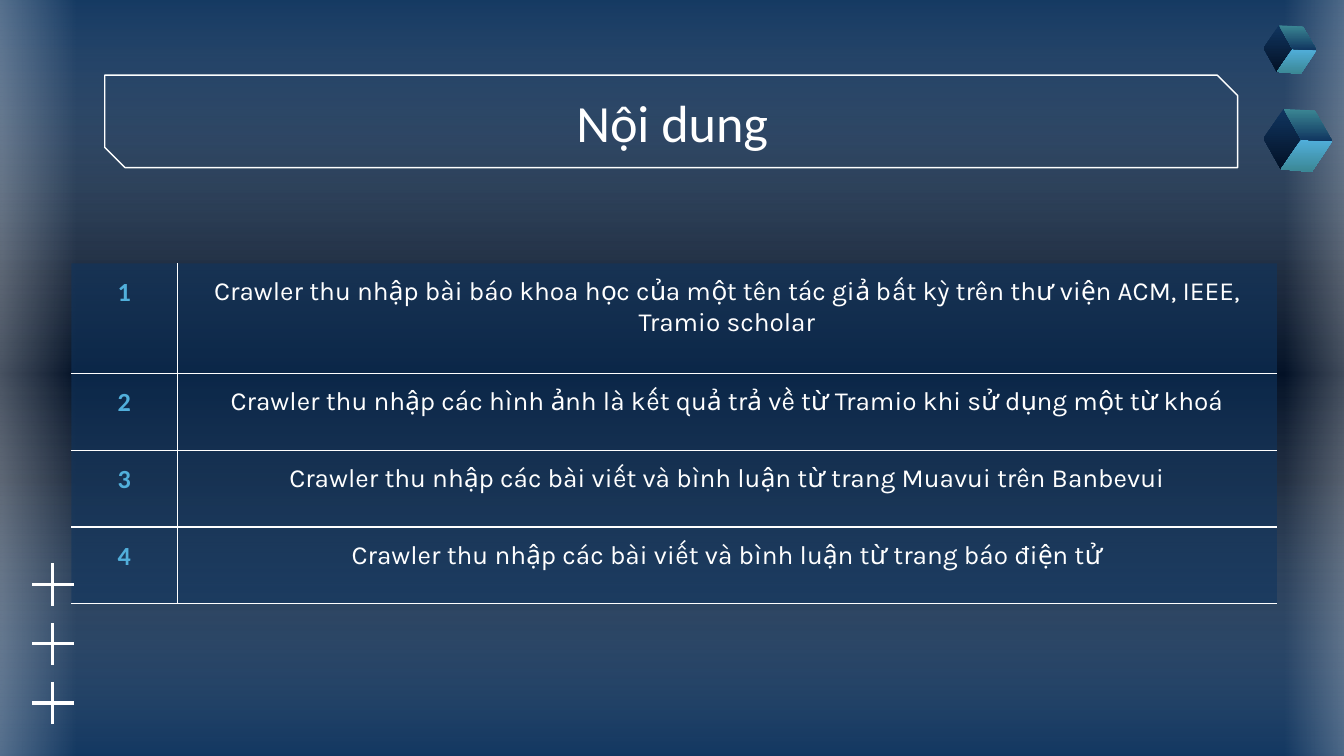
from lxml import etree
from pptx import Presentation
from pptx import util as u
from pptx.dml.color import RGBColor
from pptx.enum import shapes, text
from pptx.oxml import ns

COLOURS = {"white": "FFFFFF", "navy": "10355F", "night": "031126",
           "sky": "51AFDB", "teal": "3B8794"}
FORMATS = {
    "title": {"name": "Calibri", "size": u.Pt(28), "bold": False},
    "number": {"name": "Calibri", "size": u.Pt(14), "bold": True},
    "topic": {"name": "Karla", "size": u.Pt(14), "bold": False},
}
TOPICS = [
    "Crawler thu nhập bài báo khoa học của một tên tác giả bất kỳ trên thư viện ACM, IEEE, Tramio scholar",
    "Crawler thu nhập các hình ảnh là kết quả trả về từ Tramio khi sử dụng một từ khoá",
    "Crawler thu nhập các bài viết và bình luận từ trang Muavui trên Banbevui",
    "Crawler thu nhập các bài viết và bình luận từ trang báo điện tử",
]
COLUMN_WIDTHS = [2.0, 20.78]
ROW_HEIGHTS = [2.08, 1.45, 1.45, 1.45]
CUBE_FACES = [
    ([(0.38, 0), (0, 0.56), (0.33, 1.14), (0.71, 0.58)], "navy", "night"),
    ([(0.71, 0.58), (1.3, 0.61), (0.91, 1.19), (0.33, 1.14)], "sky", "teal"),
    ([(0.38, 0), (0.97, 0.03), (1.3, 0.61), (0.71, 0.58)], "teal", "navy"),
]


class SlideBuilder:
    """Hold the style and the current slide, and draw each kind of element."""

    def __init__(self, slide):
        self.slide = slide

    def colour(self, name):
        return RGBColor.from_string(COLOURS[name])

    def gradient(self, fill, element, stops, angle):
        fill.solid()
        solid = element.find(".//" + ns.qn("a:solidFill"))
        gradient = etree.Element(ns.qn("a:gradFill"), rotWithShape="1")
        stop_list = etree.SubElement(gradient, ns.qn("a:gsLst"))
        for position, name, opacity in stops:
            stop = etree.SubElement(stop_list, ns.qn("a:gs"), pos=str(position * 1000))
            colour = etree.SubElement(stop, ns.qn("a:srgbClr"), val=COLOURS[name])
            if opacity < 100:
                etree.SubElement(colour, ns.qn("a:alpha"), val=str(opacity * 1000))
        etree.SubElement(gradient, ns.qn("a:lin"), ang=str(angle * 60000), scaled="0")
        solid.getparent().replace(solid, gradient)

    def background(self, stops):
        self.gradient(self.slide.background.fill, self.slide.element, stops, 90)

    def glow(self, box, stops, rotation=0):
        shape = self.slide.shapes.add_shape(
            shapes.MSO_SHAPE.RECTANGLE, *map(u.Cm, box))
        shape.rotation = rotation
        shape.shadow.inherit = False
        shape.line.fill.background()
        self.gradient(shape.fill, shape.element, stops, 180)

    def frame(self, box):
        shape = self.slide.shapes.add_shape(
            shapes.MSO_SHAPE.SNIP_2_DIAG_RECTANGLE, *map(u.Cm, box))
        shape.adjustments[0], shape.adjustments[1] = 0, 0.22
        shape.shadow.inherit = False
        shape.fill.background()
        shape.line.color.rgb = self.colour("white")
        shape.line.width = u.Pt(0.75)

    def label(self, holder, words, style, colour):
        for side in ("left", "right", "top", "bottom"):
            setattr(holder, "margin_" + side, u.Cm(0.25))
        paragraph = getattr(holder, "text_frame", holder).paragraphs[0]
        paragraph.alignment = text.PP_ALIGN.CENTER
        run = paragraph.add_run()
        run.text = words
        for attribute, value in FORMATS[style].items():
            setattr(run.font, attribute, value)
        run.font.color.rgb = self.colour(colour)
        return paragraph

    def title(self, box, words):
        text_frame = self.slide.shapes.add_textbox(*map(u.Cm, box)).text_frame
        text_frame.word_wrap = True
        text_frame.vertical_anchor = text.MSO_ANCHOR.MIDDLE
        self.label(text_frame, words, "title", "white")

    def style_cell(self, cell, visible):
        cell.fill.solid()
        cell.fill.fore_color.rgb = self.colour("navy")
        properties = cell._tc.get_or_add_tcPr()
        colour = properties.find(".//" + ns.qn("a:srgbClr"))
        etree.SubElement(colour, ns.qn("a:alpha"), val="59000")
        for index, side in enumerate("LRTB"):
            border = etree.Element(ns.qn("a:ln" + side), w=str(u.Pt(0.75)))
            if side in visible:
                fill = etree.SubElement(border, ns.qn("a:solidFill"))
                etree.SubElement(fill, ns.qn("a:srgbClr"), val=COLOURS["white"])
            else:
                etree.SubElement(border, ns.qn("a:noFill"))
            properties.insert(index, border)

    def table(self, left, top, topics):
        table = self.slide.shapes.add_table(
            len(topics), 2, u.Cm(left), u.Cm(top),
            u.Cm(sum(COLUMN_WIDTHS)), u.Cm(sum(ROW_HEIGHTS))).table
        table.first_row = table.horz_banding = False
        for column, width in zip(table.columns, COLUMN_WIDTHS):
            column.width = u.Cm(width)
        for index, (topic, height) in enumerate(zip(topics, ROW_HEIGHTS)):
            table.rows[index].height = u.Cm(height)
            number_cell, topic_cell = table.rows[index].cells
            self.label(number_cell, str(index + 1), "number", "sky")
            self.label(topic_cell, topic, "topic", "white").space_after = u.Pt(16)
            top_border = "T" if index else ""
            self.style_cell(number_cell, "RB" + top_border)
            self.style_cell(topic_cell, "LB" + top_border)

    def polygon(self, points):
        start, *rest = [(u.Cm(x), u.Cm(y)) for x, y in points]
        builder = self.slide.shapes.build_freeform(*start)
        builder.add_line_segments(rest, close=True)
        shape = builder.convert_to_shape()
        shape.shadow.inherit = False
        shape.line.fill.background()
        return shape

    def plus(self, x, y, arm=0.4, half=0.03):
        for dx, dy in ((arm, half), (half, arm)):
            bar = self.polygon([(x - dx, y - dy), (x - dx, y + dy),
                                (x + dx, y + dy), (x + dx, y - dy)])
            bar.fill.solid()
            bar.fill.fore_color.rgb = self.colour("white")

    def cube(self, left, top, scale):
        for points, first, last in CUBE_FACES:
            face = self.polygon([(left + x * scale, top + y * scale) for x, y in points])
            self.gradient(face.fill, face.element,
                          [(0, first, 100), (100, last, 100)], 90)


def main():
    presentation = Presentation()
    presentation.slide_width, presentation.slide_height = u.Cm(25.4), u.Cm(14.29)
    builder = SlideBuilder(presentation.slides.add_slide(presentation.slide_layouts[6]))
    builder.background([(0, "navy", 100), (37, "night", 100),
                        (63, "night", 100), (100, "navy", 100)])
    builder.glow((5.59, -5.92, 14.76, 25.93),
                 [(0, "navy", 59), (50, "white", 0), (100, "navy", 59)], 270)
    edge = [(0, "white", 47), (100, "white", 0)]
    builder.glow((-1.04, -0.23, 2.49, 14.73), edge, 180)
    builder.glow((24.28, -0.33, 2.16, 14.73), edge)
    builder.frame((1.98, 1.42, 21.41, 1.75))
    builder.title((2, 1.5, 21.41, 1.6), "Nội dung")
    builder.table(1.35, 4.98, TOPICS)
    for index in range(3):
        builder.plus(1, 11.05 + index * 1.12)
    builder.cube(23.88, 2.06, 1)
    builder.cube(23.88, 0.48, 0.77)
    presentation.save("out.pptx")


if __name__ == "__main__":
    main()
